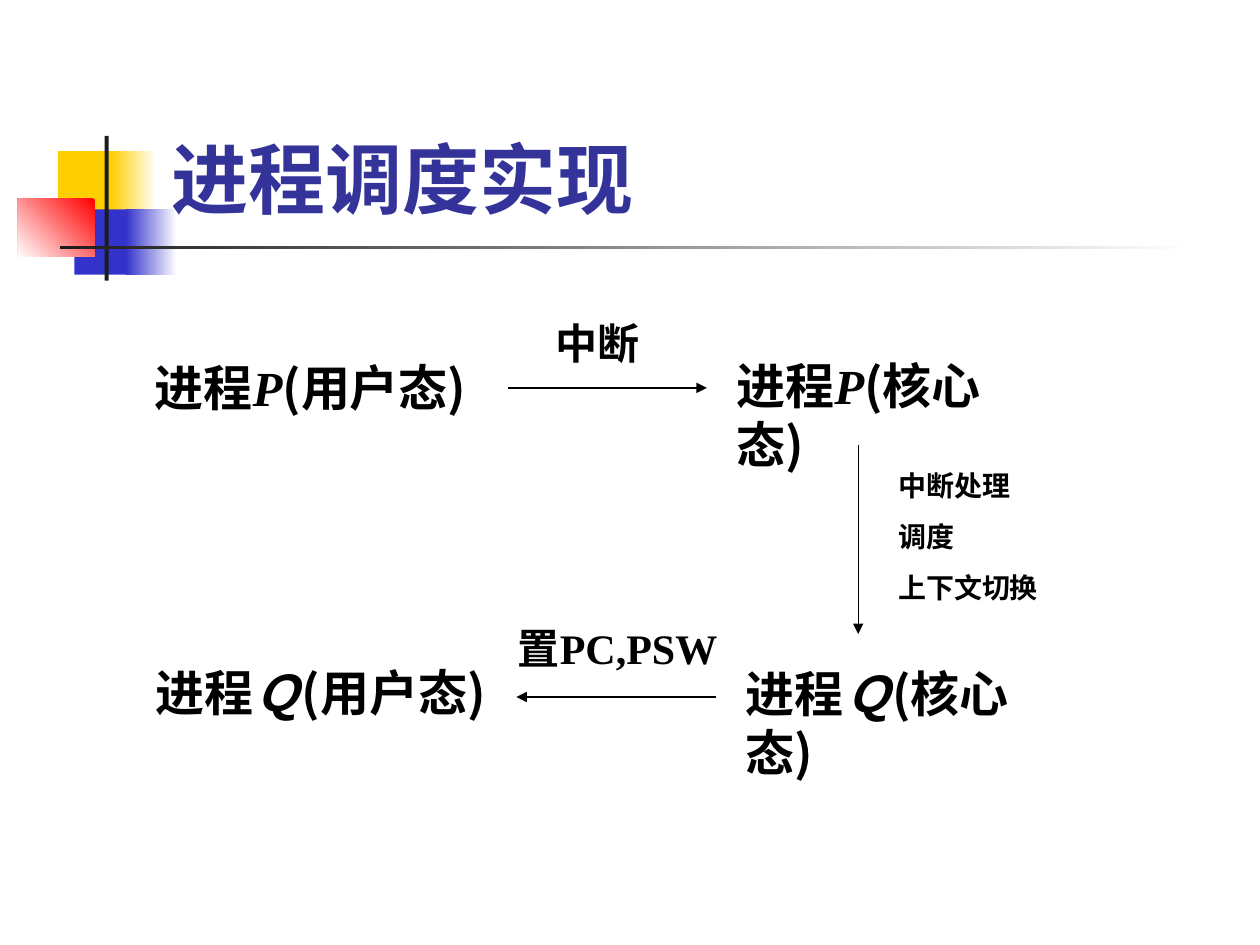
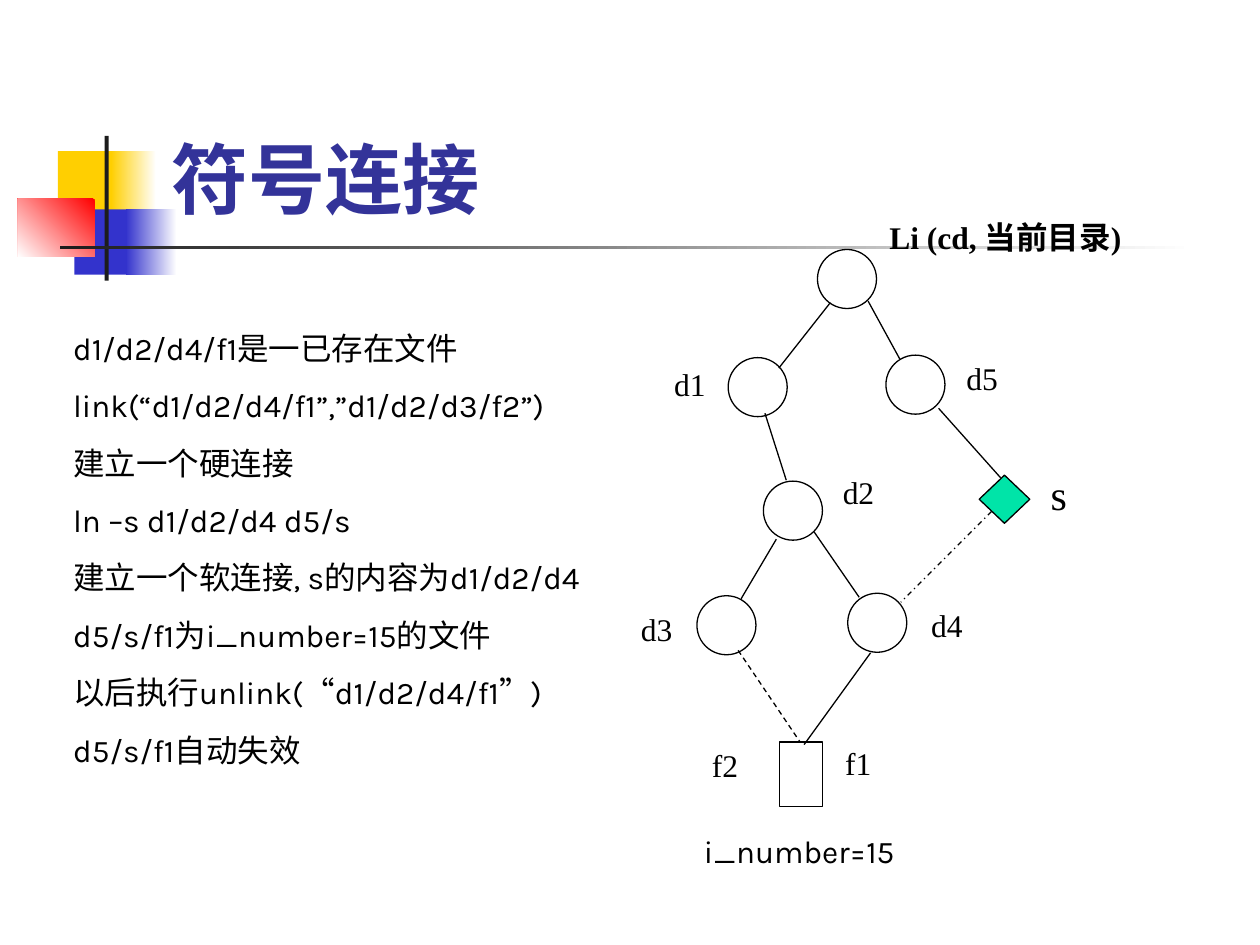
from lxml import etree
from pptx import Presentation
from pptx.dml.color import RGBColor
from pptx.enum import dml, shapes, text
from pptx.oxml.ns import qn
from pptx.util import Cm, Pt

BLACK = RGBColor(0x00, 0x00, 0x00)
WHITE = RGBColor(0xFF, 0xFF, 0xFF)
TITLE_BLUE = RGBColor(0x33, 0x33, 0x99)
YELLOW = RGBColor(0xFF, 0xCF, 0x01)
BLUE = RGBColor(0x33, 0x33, 0xCC)
RED = RGBColor(0xFF, 0x00, 0x00)
CHARCOAL = RGBColor(0x1C, 0x1C, 0x1C)
GREEN = RGBColor(0x00, 0xE4, 0xA8)

SANS, SERIF, CHINESE = "Karla", "Times New Roman", "Noto Sans CJK SC"
SHAPE = shapes.MSO_SHAPE
DASH = dml.MSO_LINE

TITLE_AREA = (3.2, 0.58, 21.64, 4.06)
ORNAMENTS = [
    ((1.17, 3.05, 1.22, 1.32), (YELLOW,), 0),
    ((2.24, 3.05, 0.91, 1.32), (WHITE, YELLOW), 180),
    ((1.5, 4.22, 1.17, 1.32), (BLUE,), 0),
    ((2.54, 4.22, 1.02, 1.32), (WHITE, BLUE), 180),
    ((0.36, 4.01, 1.55, 1.17), (RED, WHITE), 225),
    ((2.11, 2.74, 0.08, 2.92), (CHARCOAL,), 0),
    ((1.22, 4.95, 22.86, 0.08), (WHITE, CHARCOAL), 180),
]

LEFT, CENTER = text.PP_ALIGN.LEFT, text.PP_ALIGN.CENTER
PROCESS_STATES = [
    ("P", "(用户态)", (2.87, 7.09, 7.04, 2.64), LEFT),
    ("P", "(核心态)", (14.6, 7.05, 6.76, 2.64), LEFT),
    ("Ｑ", "(核心态)", (14.78, 13.26, 7.14, 2.64), LEFT),
    ("Ｑ", "(用户态)", (2.79, 13.23, 7.34, 2.64), CENTER),
]
TRANSITIONS = [
    ((10.24, 7.82), (14.25, 7.82)),
    ((17.3, 8.97), (17.3, 12.78)),
    ((14.43, 14.05), (10.41, 14.05)),
]
TRANSITION_LABELS = [
    (["中断"], (10.95, 6.27, 2.46, 1.27), 24, 0),
    (["中断处理", "调度", "上下文切换"], (17.86, 9.32, 5.36, 3), 16, 10),
    (["置PC,PSW"], (10.19, 12.42, 4.8, 1.27), 24, 0),
]

LINK_NOTES = [
    "d1/d2/d4/f1是一已存在文件",
    "link(“d1/d2/d4/f1”,”d1/d2/d3/f2”)",
    "建立一个硬连接",
    "ln –s d1/d2/d4 d5/s",
    "建立一个软连接, s的内容为d1/d2/d4",
    "d5/s/f1为i_number=15的文件",
    "以后执行unlink(“d1/d2/d4/f1”)",
    "d5/s/f1自动失效",
]
LINK_NOTES_AREA = (1.22, 6.5, 11.28, 9.9)
DIRECTORY_SIZE = 1.19
DIRECTORIES = [(16.48, 5.03), (17.86, 7.16), (14.68, 7.21),
               (15.39, 9.7), (14.05, 12.01), (17.09, 11.96)]
FILE_AREA = (15.72, 14.96, 0.86, 1.3)
SYMLINK_AREA = (19.74, 9.58, 1.02, 0.97)
TREE_EDGES = [
    ((16.74, 6.1), (15.7, 7.42), None),
    ((17.5, 6.07), (18.14, 7.24), None),
    ((15.42, 8.33), (15.85, 9.68), None),
    ((15.65, 10.87), (14.94, 12.07), None),
    ((16.41, 10.72), (17.32, 12.04), None),
    ((17.55, 13.16), (16.21, 15.01), None),
    ((14.88, 13.11), (16.13, 14.96), DASH.DASH),
    ((18.92, 8.23), (20.17, 9.63), None),
    ((19.99, 10.31), (18.16, 12.14), DASH.DASH_DOT),
]
NODE_LABEL_SIZE = (1.5, 1.02)
NODE_LABELS = {
    "d1": (13.34, 7.24), "d5": (19.23, 7.11), "d2": (16.74, 9.42),
    "d3": (12.67, 12.17), "d4": (18.52, 12.09),
    "f1": (16.79, 14.88), "f2": (14.1, 14.91),
}
TREE_CAPTIONS = [
    ("Li (cd, 当前目录)", (17.68, 4.27, 5.6, 1.02), 18, SERIF, True),
    ("s", (20.93, 9.32, 1.5, 1.27), 24, SERIF, False),
    ("i_number=15", (13.94, 16.64, 4.67, 1.02), 18, SANS, False),
]


def cm(area):
    return [Cm(length) for length in area]


def style(para, size, name, bold=False, color=BLACK):
    para.font.size = Pt(size)
    para.font.name = name
    para.font.bold = bold
    para.font.color.rgb = color
    defaults = para._p.pPr.find(qn("a:defRPr"))
    etree.SubElement(defaults, qn("a:ea")).set("typeface", CHINESE)


def fill_lines(frame, lines, size, name, bold=False, gap=0, plain_list=False):
    for index, line in enumerate(lines):
        para = frame.add_paragraph() if index else frame.paragraphs[0]
        para.text = line
        if plain_list:
            properties = para._p.get_or_add_pPr()
            properties.set("marL", "0")
            properties.set("indent", "0")
            etree.SubElement(properties, qn("a:buNone"))
        para.space_before = Pt(gap if index else 0)
        style(para, size, name, bold)


def add_box(page, area):
    frame = page.shapes.add_textbox(*cm(area)).text_frame
    frame.word_wrap = True
    return frame


def add_outline(page, kind, area, color=None):
    shape = page.shapes.add_shape(kind, *cm(area))
    shape.shadow.inherit = False
    shape.line.color.rgb = BLACK
    shape.line.width = Pt(0.75)
    if color is None:
        shape.fill.background()
    else:
        shape.fill.solid()
        shape.fill.fore_color.rgb = color


def add_line(page, start, end, dash=None, arrow=False):
    line = page.shapes.add_connector(shapes.MSO_CONNECTOR.STRAIGHT, *cm(start + end))
    line.line.color.rgb = BLACK
    line.line.width = Pt(0.75)
    if dash is not None:
        line.line.dash_style = dash
    properties = line.element.spPr
    if arrow:
        tail = etree.SubElement(properties.find(qn("a:ln")), qn("a:tailEnd"))
        tail.set("type", "triangle")
    etree.SubElement(properties, qn("a:effectLst"))


def decorate_master(deck, page):
    tree = deck.slide_master.element.cSld.spTree
    for index, (area, colors, angle) in enumerate(ORNAMENTS):
        shape = page.shapes.add_shape(SHAPE.RECTANGLE, *cm(area))
        shape.shadow.inherit = False
        shape.line.fill.background()
        if len(colors) == 1:
            shape.fill.solid()
            shape.fill.fore_color.rgb = colors[0]
        else:
            shape.fill.gradient()
            shape.fill.gradient_angle = angle
            for stop, color in zip(shape.fill.gradient_stops, colors):
                stop.color.rgb = color
        shape.element.nvSpPr.cNvPr.set("id", str(100 + index))
        tree.append(shape.element)


def place(holder, area):
    holder.left, holder.top, holder.width, holder.height = cm(area)


def add_page(deck, layout, heading):
    page = deck.slides.add_slide(deck.slide_layouts.get_by_name(layout))
    title = page.shapes.title
    place(title, TITLE_AREA)
    frame = title.text_frame
    frame.text = heading
    frame.auto_size = text.MSO_AUTO_SIZE.NONE
    frame.vertical_anchor = text.MSO_ANCHOR.BOTTOM
    para = frame.paragraphs[0]
    para.alignment = LEFT
    style(para, 44, SANS, True, TITLE_BLUE)
    return page


def draw_scheduling(page):
    for start, end in TRANSITIONS:
        add_line(page, start, end, arrow=True)
    for process, state, area, alignment in PROCESS_STATES:
        para = add_box(page, area).paragraphs[0]
        para.alignment = alignment
        style(para, 28, CHINESE, True)
        for words in ("进程", process, state):
            span = para.add_run()
            span.text = words
            if words == process:
                span.font.name = SERIF
                span.font.italic = True
    for lines, area, size, gap in TRANSITION_LABELS:
        fill_lines(add_box(page, area), lines, size, SERIF, True, gap)


def draw_links(page):
    body = page.placeholders[1]
    place(body, LINK_NOTES_AREA)
    body.text_frame.auto_size = text.MSO_AUTO_SIZE.NONE
    fill_lines(body.text_frame, LINK_NOTES, 18, SANS, gap=11.2, plain_list=True)
    for corner in DIRECTORIES:
        add_outline(page, SHAPE.OVAL, corner + (DIRECTORY_SIZE, DIRECTORY_SIZE))
    add_outline(page, SHAPE.RECTANGLE, FILE_AREA)
    add_outline(page, SHAPE.DIAMOND, SYMLINK_AREA, GREEN)
    for start, end, dash in TREE_EDGES:
        add_line(page, start, end, dash)
    for label, corner in NODE_LABELS.items():
        fill_lines(add_box(page, corner + NODE_LABEL_SIZE), [label], 18, SERIF)
    for caption, area, size, name, bold in TREE_CAPTIONS:
        fill_lines(add_box(page, area), [caption], size, name, bold)


def main():
    deck = Presentation()
    deck.slide_width, deck.slide_height = Cm(25.4), Cm(19.05)
    scheduling = add_page(deck, "Title Only", "进程调度实现")
    decorate_master(deck, scheduling)
    draw_scheduling(scheduling)
    draw_links(add_page(deck, "Title and Content", "符号连接"))
    deck.save("out.pptx")


if __name__ == "__main__":
    main()
